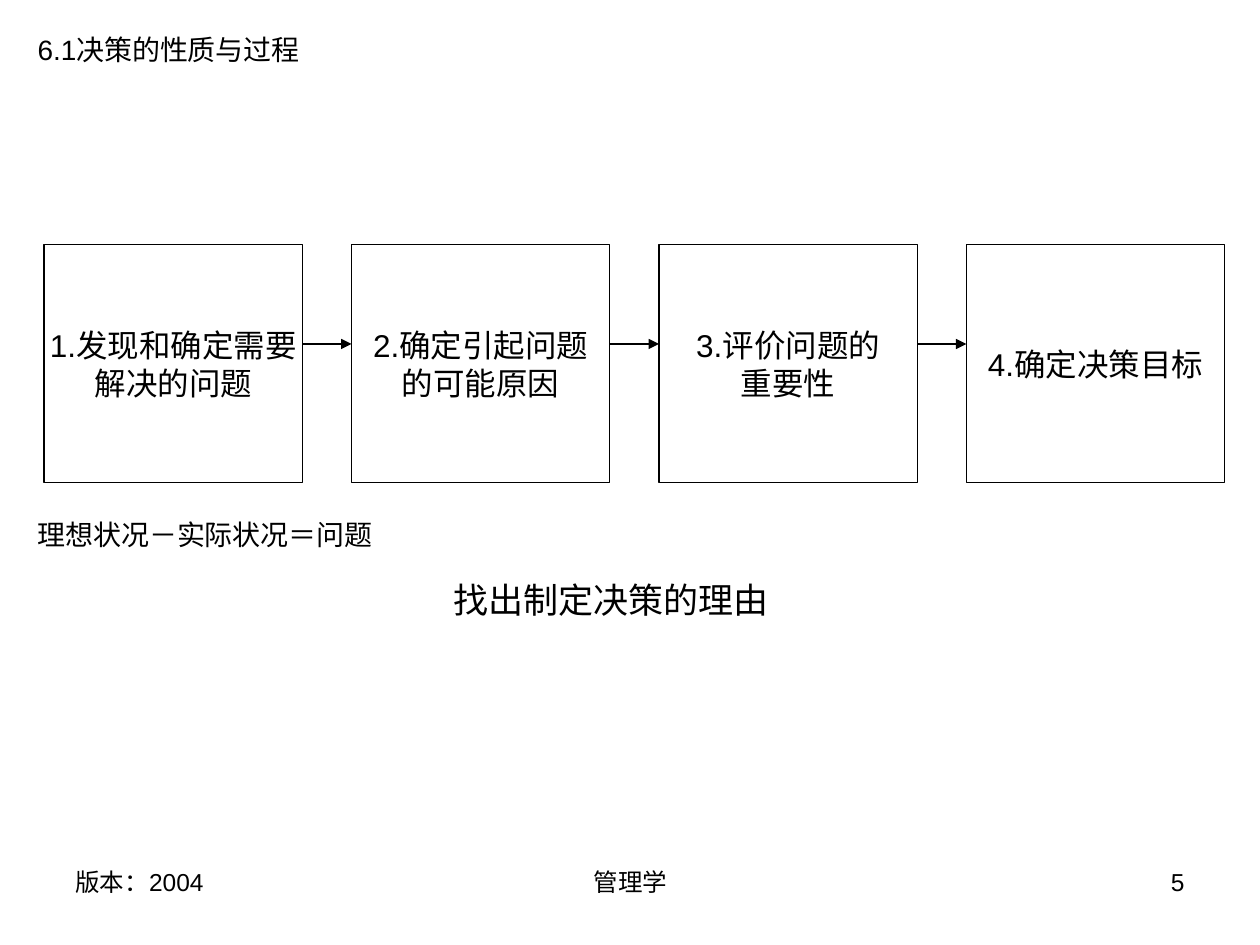
"""Build the slide on the steps of problem finding in decision making."""
from lxml import etree
from pptx import Presentation
from pptx.dml.color import RGBColor
from pptx.enum.shapes import MSO_CONNECTOR, MSO_SHAPE
from pptx.enum.text import MSO_ANCHOR, PP_ALIGN
from pptx.oxml.ns import qn
from pptx.util import Inches, Pt

LEFT, MID, RIGHT = PP_ALIGN.LEFT, PP_ALIGN.CENTER, PP_ALIGN.RIGHT
CENTRE = MSO_ANCHOR.MIDDLE
RECT = MSO_SHAPE.RECTANGLE
LINE = MSO_CONNECTOR.STRAIGHT

STEPS = [
    ["1.发现和确定需要", "解决的问题"],
    ["2.确定引起问题", "的可能原因"],
    ["3.评价问题的", "重要性"],
    ["4.确定决策目标"],
]
LABELS = [
    ("6.1决策的性质与过程", 0.2, 0.21, 2.36, 0.37, 16, LEFT),
    ("理想状况－实际状况＝问题", 0.2, 4.06, 2.91, 0.37, 16, LEFT),
    ("找出制定决策的理由", 3.5, 4.54, 2.84, 0.43, 20, LEFT),
    ("版本：2004", 0.5, 6.83, 2.33, 0.52, 14, LEFT),
    ("管理学", 3.42, 6.83, 3.17, 0.52, 14, MID),
    ("5", 7.17, 6.83, 2.33, 0.52, 14, RIGHT),
]


def paint(target, code):
    target.rgb = RGBColor.from_string(code)


class Sketch:
    def __init__(self, slide):
        self.slide = slide
        self.font = "Arial"
        self.ink = "000000"
        self.paper = "FFFFFF"
        self.weight = Pt(0.75)

    def letter(self, frame, lines, size, align):
        for i, line in enumerate(lines):
            para = frame.paragraphs[0] if i == 0 else frame.add_paragraph()
            para.text = line
            para.alignment = align
            para.font.name = self.font
            para.font.size = Pt(size)
            paint(para.font.color, self.ink)

    def stroke(self, line):
        line.width = self.weight
        line.fill.solid()
        paint(line.fill.fore_color, self.ink)

    def label(self, text, x, y, w, h, size, align):
        box = self.slide.shapes.add_textbox(Inches(x), Inches(y), Inches(w), Inches(h))
        box.text_frame.word_wrap = True
        self.letter(box.text_frame, [text], size, align)

    def box(self, lines, x, y, w, h):
        shape = self.slide.shapes.add_shape(
            RECT, Inches(x), Inches(y), Inches(w), Inches(h))
        shape.shadow.inherit = False
        shape.fill.solid()
        paint(shape.fill.fore_color, self.paper)
        self.stroke(shape.line)
        shape.text_frame.word_wrap = False
        shape.text_frame.vertical_anchor = CENTRE
        self.letter(shape.text_frame, lines, 18, MID)

    def arrow(self, start, end, y):
        link = self.slide.shapes.add_connector(
            LINE, Inches(start), Inches(y), Inches(end), Inches(y))
        self.stroke(link.line)
        props = link.element.spPr
        etree.SubElement(props.find(qn("a:ln")), qn("a:tailEnd"), type="triangle")
        etree.SubElement(props, qn("a:effectLst"))


def main():
    deck = Presentation()
    deck.slide_width, deck.slide_height = Inches(10), Inches(7.5)
    sketch = Sketch(deck.slides.add_slide(deck.slide_layouts[6]))
    left, top, width, height, pitch = 0.35, 1.94, 2.05, 1.89, 2.44
    for i, lines in enumerate(STEPS):
        x = left + i * pitch
        sketch.box(lines, x, top, width, height)
        if i:
            sketch.arrow(x - pitch + width, x, 2.73)
    for label in LABELS:
        sketch.label(*label)
    deck.save("out.pptx")


if __name__ == "__main__":
    main()
